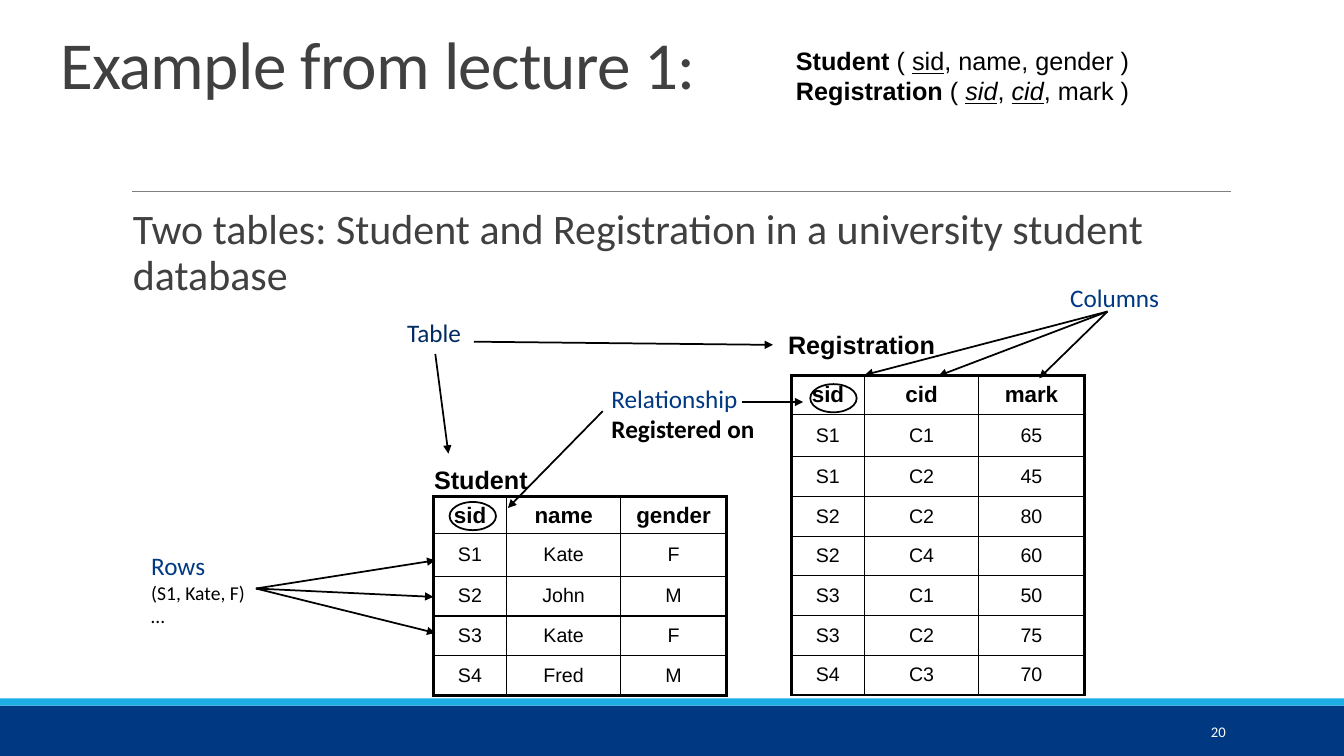
"""Build the slide that explains relational terms with two linked tables."""
from dataclasses import dataclass

from lxml.etree import SubElement
from pptx import Presentation
from pptx.dml.color import RGBColor
from pptx.enum.shapes import MSO_CONNECTOR, MSO_SHAPE
from pptx.enum.text import MSO_ANCHOR, PP_ALIGN
from pptx.oxml.ns import qn
from pptx.util import Cm, Pt


@dataclass(frozen=True)
class Theme:
    black: str = "000000"
    rule: str = "808080"
    bar: str = "003882"
    stripe: str = "1CADE4"
    thin: float = 1
    thick: float = 2.25
    arrow: float = 1.25
    hairline: float = 0.5


T = Theme()
STYLES = {
    "title": (48, "Calibri", "404040"),
    "body": (30, "Calibri", "404040"),
    "term": (18, "Calibri", T.bar),
    "table term": (18, "Calibri", "002A62"),
    "note": (18, "Calibri", T.black),
    "sample": (14, "Calibri", T.black),
    "schema": (18, "Arial", T.black),
    "head": (16, "Arial", T.black),
    "cell": (14, "Arial", T.black),
    "number": (10.5, "Calibri", "FFFFFF"),
}

TITLE = [[("Example from lecture 1:", "title", "")]]
BODY = [[("Two tables: Student and Registration in a university student database", "body", "")]]
NUMBER = [[("20", "number", "")]]
SCHEMA = [
    [("Student", "schema", "b"), (" ( ", "schema", ""), ("sid", "schema", "u"),
     (", name, gender )", "schema", "")],
    [("Registration", "schema", "b"), (" ( ", "schema", ""), ("sid", "schema", "iu"),
     (", ", "schema", ""), ("cid", "schema", "iu"), (", mark )", "schema", "")],
]
LABELS = [
    ((10.69, 11.58, 2.9, 1.02), [[("Student", "schema", "b")]]),
    ((19.61, 8.18, 4.24, 1.02), [[("Registration", "schema", "b")]]),
    ((26.72, 6.99, 2.77, 1.02), [[("Columns", "term", "")]]),
    ((3.56, 13.74, 2.9, 2.24), [[("Rows", "term", "")], [("(S1, Kate, F)", "sample", ""),
                                                        ("\n", "sample", ""),
                                                        ("…", "sample", "")]]),
    ((15.16, 9.53, 4.14, 1.8), [[("Relationship", "term", "")],
                                [("Registered on", "note", "b")]]),
    ((10.01, 7.87, 1.88, 1.02), [[("Table", "table term", "")]]),
]
STUDENT = [
    ("sid", "name", "gender"),
    ("S1", "Kate", "F"),
    ("S2", "John", "M"),
    ("S3", "Kate", "F"),
    ("S4", "Fred", "M"),
]
REGISTRATION = [
    ("sid", "cid", "mark"),
    ("S1", "C1", "65"),
    ("S1", "C2", "45"),
    ("S2", "C2", "80"),
    ("S2", "C4", "60"),
    ("S3", "C1", "50"),
    ("S3", "C2", "75"),
    ("S4", "C3", "70"),
]
TABLES = [(10.92, 12.52, 0.91, STUDENT), (19.94, 9.47, 0.97, REGISTRATION)]
COLUMN_WIDTHS = (1.85, 2.87, 2.67)
FIRST_ROW, OTHER_ROW = 1.07, 1.0
ARROWS = [
    ((27.91, 7.85), [(21.79, 9.45), (23.65, 9.47), (26.19, 9.53)]),
    ((6.45, 14.83), [(10.97, 15.95), (10.92, 15.04), (10.97, 14.12)]),
    ((18.69, 10.13), [(20.24, 10.13)]),
    ((15.19, 10.36), [(12.8, 12.8)]),
    ((11.94, 8.61), [(19.48, 8.69)]),
    ((10.97, 8.92), [(11.3, 11.43)]),
]
KEY_RINGS = [(20.42, 9.68), (11.33, 12.65)]
BARS = [((0, 17.78, 33.87, 1.27), T.bar), ((0, 17.6, 33.87, 0.18), T.stripe)]


def rgb(value):
    return RGBColor.from_string(value)


def add_runs(p, runs):
    for text, style, flags in runs:
        if text == "\n":
            p.add_line_break()
            continue
        r = p.add_run()
        r.text = text
        size, r.font.name, color = STYLES[style]
        r.font.size = Pt(size)
        r.font.color.rgb = rgb(color)
        r.font.bold, r.font.italic, r.font.underline = (f in flags for f in "biu")


def add_text(s, box, paragraphs, wrap=True, spacing=None):
    sp = s.shapes.add_textbox(*map(Cm, box))
    tf = sp.text_frame
    tf.word_wrap = wrap
    for i, runs in enumerate(paragraphs):
        p = tf.add_paragraph() if i else tf.paragraphs[0]
        p.line_spacing = spacing
        add_runs(p, runs)
    return tf


def add_shape(s, kind, box, fill=None):
    sp = s.shapes.add_shape(kind, *map(Cm, box))
    sp.shadow.inherit = False
    if fill:
        sp.fill.solid()
        sp.fill.fore_color.rgb = rgb(fill)
        sp.line.fill.background()
    else:
        sp.fill.background()
        sp.line.color.rgb = rgb(T.black)
        sp.line.width = Pt(T.arrow)


def add_line(s, start, end, color, width, arrow=False):
    sp = s.shapes.add_connector(MSO_CONNECTOR.STRAIGHT, *map(Cm, start + end))
    sp.line.color.rgb = rgb(color)
    sp.line.width = Pt(width)
    if arrow:
        SubElement(sp.line._get_or_add_ln(), qn("a:tailEnd"), type="triangle")
    SubElement(sp._element.spPr, qn("a:effectLst"))


def set_borders(cell, widths):
    tc_pr = cell._tc.get_or_add_tcPr()
    for side, width in zip("LRTB", widths):
        ln = SubElement(tc_pr, qn(f"a:ln{side}"), w=str(Pt(width)))
        SubElement(SubElement(ln, qn("a:solidFill")), qn("a:srgbClr"), val=T.black)


def add_data_table(s, left, top, head, rows):
    heights = [head, FIRST_ROW] + [OTHER_ROW] * (len(rows) - 2)
    last_row, last_col = len(rows) - 1, len(COLUMN_WIDTHS) - 1
    box = (left, top, sum(COLUMN_WIDTHS), sum(heights))
    table = s.shapes.add_table(len(rows), len(COLUMN_WIDTHS), *map(Cm, box)).table
    table.first_row = table.horz_banding = False
    for column, width in zip(table.columns, COLUMN_WIDTHS):
        column.width = Cm(width)
    for i, values in enumerate(rows):
        table.rows[i].height = Cm(heights[i])
        for j, value in enumerate(values):
            cell = table.cell(i, j)
            edges = (j == 0, j == last_col, i == 0, i == last_row)
            set_borders(cell, [T.thick if edge else T.thin for edge in edges])
            cell.fill.background()
            cell.vertical_anchor = MSO_ANCHOR.MIDDLE
            p = cell.text_frame.paragraphs[0]
            p.alignment = PP_ALIGN.CENTER
            add_runs(p, [(value, "cell", "") if i else (value, "head", "b")])


def main():
    prs = Presentation()
    prs.slide_width, prs.slide_height = Cm(33.87), Cm(19.05)
    s = prs.slides.add_slide(prs.slide_layouts[6])

    for box, color in BARS:
        add_shape(s, MSO_SHAPE.RECTANGLE, box, color)
    add_line(s, (3.33, 4.83), (31.01, 4.83), T.rule, T.hairline)

    tf = add_text(s, (3.05, 5.13, 27.94, 11.18), BODY, spacing=0.9)
    tf.margin_left, tf.margin_right = Cm(0.3), 0
    tf = add_text(s, (27.51, 17.93, 3.63, 1.02), NUMBER)
    tf.vertical_anchor = MSO_ANCHOR.MIDDLE
    tf.paragraphs[0].alignment = PP_ALIGN.RIGHT

    for left, top, head, rows in TABLES:
        add_data_table(s, left, top, head, rows)
    for box, paragraphs in LABELS:
        add_text(s, box, paragraphs, wrap=False)
    for start, ends in ARROWS:
        for end in ends:
            add_line(s, start, end, T.black, T.arrow, arrow=True)
    for left, top in KEY_RINGS:
        add_shape(s, MSO_SHAPE.OVAL, (left, top, 1.17, 0.71))

    tf = add_text(s, (1.27, 0.76, 25.65, 3.18), TITLE, spacing=0.85)
    tf.paragraphs[0].runs[0].font._element.set("spc", "-50")
    add_text(s, (19.81, 1.02, 10.97, 1.8), SCHEMA)
    prs.save("out.pptx")


if __name__ == "__main__":
    main()
